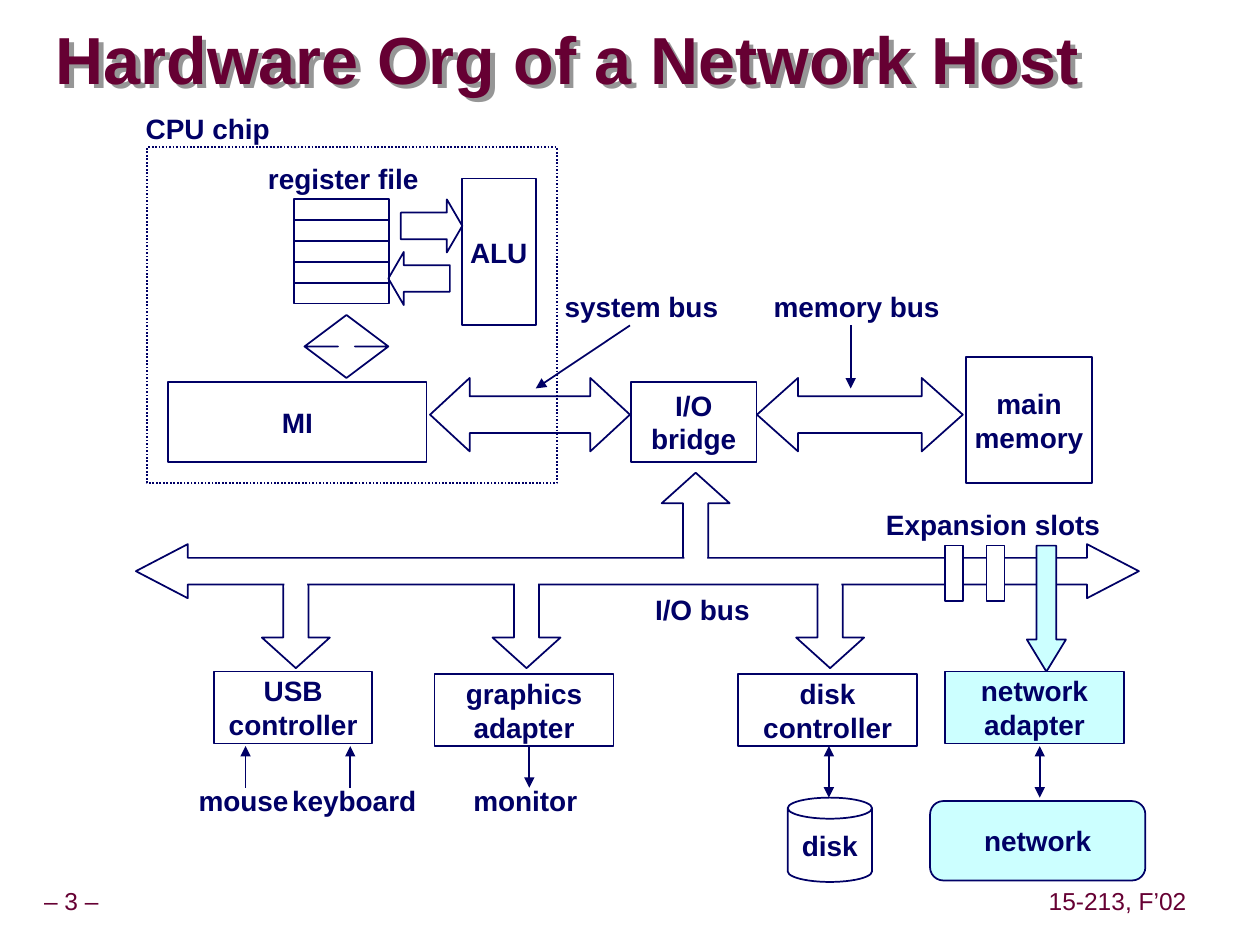
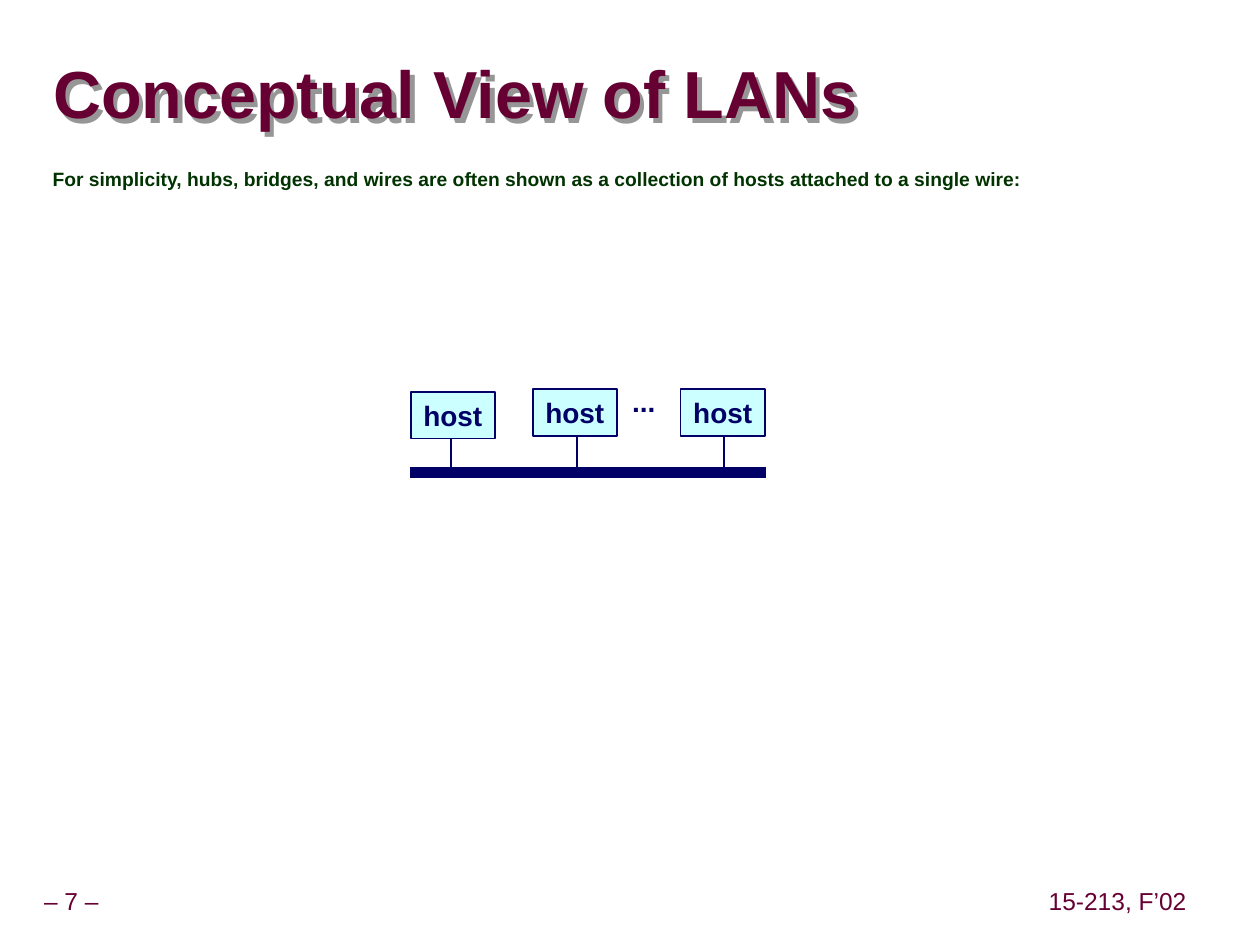
from lxml import etree
from pptx import Presentation
from pptx import util as u
from pptx.dml.color import RGBColor
from pptx.enum import dml, shapes, text
from pptx.oxml.ns import qn

NAVY = RGBColor(0x00, 0x00, 0x66)
MAROON = RGBColor(0x66, 0x00, 0x33)
GREEN = RGBColor(0x00, 0x33, 0x00)
AQUA = RGBColor(0xCC, 0xFF, 0xFF)
WHITE = RGBColor(0xFF, 0xFF, 0xFF)
SHADOW_HEX = "969696"
FONT = "Arial"
COURSE = "15-213, F’02"
KIND = shapes.MSO_SHAPE

# All places are in centimetres: left, top, width, height.
HOST_TITLE = ("Hardware Org of a Network Host", (1.12, 0.2, 24.2, 2.16))
LAN_TITLE = ("Conceptual View of LANs", (1.07, 1.17, 19.5, 1.6))
LAN_NOTE = ("For simplicity, hubs, bridges, and wires are often shown as "
            "a collection of hosts attached to a single wire:")

# Text, place, fill
BOXES = [
    ("main\nmemory", (19.48, 7.2, 2.53, 2.54), None),
    ("I/O\nbridge", (12.72, 7.7, 2.53, 1.61), None),
    ("MI", (3.39, 7.7, 5.21, 1.61), None),
    ("ALU", (9.31, 3.6, 1.49, 2.96), None),
    ("USB\ncontroller", (4.32, 13.54, 3.18, 1.45), None),
    ("graphics\nadapter", (8.76, 13.59, 3.61, 1.45), None),
    ("disk\ncontroller", (14.88, 13.59, 3.61, 1.45), None),
    ("network\nadapter", (19.05, 13.54, 3.61, 1.45), AQUA),
]
# Kind, place, adjustments
BLOCK_ARROWS = [
    (KIND.LEFT_RIGHT_ARROW, (15.26, 7.62, 4.15, 1.48), (0.5, 0.56)),
    (KIND.LEFT_RIGHT_ARROW, (8.67, 7.62, 4.03, 1.48), (0.5, 0.54)),
    (KIND.RIGHT_ARROW, (8.08, 4.02, 1.24, 1.07), (0.5, 0.29)),
    (KIND.LEFT_ARROW, (7.83, 5.08, 1.24, 1.07), (0.5, 0.29)),
    (KIND.UP_DOWN_ARROW, (6.14, 6.35, 1.69, 1.27), (0.5, 0.2)),
]
# Text, centre x, centre y
LABELS = [
    ("CPU chip", 4.19, 2.58),
    ("register file", 6.92, 3.6),
    ("system bus", 12.93, 6.18),
    ("memory bus", 17.27, 6.18),
    ("Expansion slots", 20.02, 10.58),
    ("I/O bus", 14.16, 12.28),
    ("mouse", 4.91, 16.14),
    ("keyboard", 7.14, 16.14),
    ("monitor", 10.59, 16.14),
]
# Start, end, ends that carry an arrowhead
POINTERS = [
    ((12.7, 6.56), (10.8, 7.83), ("tail",)),
    ((17.15, 6.56), (17.15, 7.83), ("tail",)),
    ((4.95, 15.04), (4.95, 15.88), ("head",)),
    ((7.06, 15.04), (7.06, 15.88), ("head",)),
    ((10.67, 15.04), (10.67, 15.88), ("tail",)),
    ((16.71, 15.04), (16.71, 16.08), ("head", "tail")),
    ((20.96, 15.04), (20.96, 16.08), ("head", "tail")),
]
CHIP = (2.97, 2.97, 8.26, 6.77)
REGISTER, REGISTER_COUNT = (5.93, 4.02, 1.91, 0.42), 5
IO_BUS = (2.74, 10.97, 20.22, 1.09)
BRANCH_SIZE, BRANCH_ADJUST = (1.37, 1.91), (0.37, 0.45)
# Kind, left, top, top of the opening in the bus edge
BRANCHES = [
    (KIND.UP_ARROW, 13.34, 9.53, 11.23),
    (KIND.DOWN_ARROW, 5.28, 11.56, 11.42),
    (KIND.DOWN_ARROW, 9.93, 11.56, 11.42),
    (KIND.DOWN_ARROW, 16.05, 11.56, 11.42),
]
OPENING_SIZE = (0.46, 0.43)
SLOT_LEFTS = (19.05, 19.89)
# Left, top, x of the stub down to the wire
HOSTS = [(8.28, 7.9, 9.09), (10.74, 7.85, 11.63), (13.72, 7.85, 14.6)]
HOST_SIZE = (1.7, 0.94)
WIRE_LEFT, WIRE_RIGHT, WIRE_Y, STUB_TOP = 8.26, 15.44, 9.53, 8.69


def cm(values):
    return [u.Cm(value) for value in values]


def write(frame, words, size=16, color=NAVY, bold=True, align=text.PP_ALIGN.CENTER):
    frame.text = words
    frame.vertical_anchor = text.MSO_ANCHOR.MIDDLE
    for para in frame.paragraphs:
        para.alignment = align
        para.font.name = FONT
        para.font.size = u.Pt(size)
        para.font.bold = bold
        para.font.color.rgb = color


def add_block(page, kind, place, words="", fill=None, adjust=(), outline=NAVY):
    block = page.shapes.add_shape(kind, *cm(place))
    block.shadow.inherit = False
    for index, value in enumerate(adjust):
        block.adjustments[index] = value
    if fill is None:
        block.fill.background()
    else:
        block.fill.solid()
        block.fill.fore_color.rgb = fill
    if outline is None:
        block.line.fill.background()
    else:
        block.line.color.rgb = outline
        block.line.width = u.Pt(1)
    if words:
        write(block.text_frame, words)
        block.text_frame.word_wrap = False
    return block


def add_label(page, words, x, y, **style):
    """Centre one line of text on the point x, y."""
    width, height = 5, 0.94
    box = page.shapes.add_textbox(*cm((x - width / 2, y - height / 2, width, height)))
    write(box.text_frame, words, **style)
    box.text_frame.word_wrap = False


def add_line(page, start, end, ends=(), width=1):
    line = page.shapes.add_connector(shapes.MSO_CONNECTOR.STRAIGHT, *cm(start + end))
    line.line.color.rgb = NAVY
    line.line.width = u.Pt(width)
    outline = line.line._get_or_add_ln()
    for end_name in ends:
        etree.SubElement(outline, qn(f"a:{end_name}End"), type="triangle")
    etree.SubElement(line._element.spPr, qn("a:effectLst"))


def add_title_shadow(title):
    effects = etree.SubElement(title._element.spPr, qn("a:effectLst"))
    shadow = etree.SubElement(effects, qn("a:outerShdw"), dist=str(u.Cm(0.13)),
                              dir="2700000", algn="ctr", rotWithShape="0")
    etree.SubElement(shadow, qn("a:srgbClr"), val=SHADOW_HEX)


def add_page(deck, heading, number):
    """Add a slide with its shadowed title and the two footers."""
    page = deck.slides.add_slide(deck.slide_layouts[5])
    words, place = heading
    title = page.shapes.title
    title.left, title.top, title.width, title.height = cm(place)
    frame = title.text_frame
    write(frame, words, size=38, color=MAROON, align=text.PP_ALIGN.LEFT)
    frame.margin_left = frame.margin_right = frame.margin_top = frame.margin_bottom = 0
    frame.auto_size = text.MSO_AUTO_SIZE.NONE
    frame.paragraphs[0].line_spacing = 0.87
    add_title_shadow(title)
    for footer, x in ((f"– {number} –", 1.44), (COURSE, 22.53)):
        add_label(page, footer, x, 18.15, size=14, color=MAROON, bold=False)
    return page


def add_io_bus(page):
    """Draw the bus over its branches, then open its edge at each branch."""
    width, height = OPENING_SIZE
    for kind, left, top, _ in BRANCHES:
        add_block(page, kind, (left, top, *BRANCH_SIZE), adjust=BRANCH_ADJUST)
    add_block(page, KIND.LEFT_RIGHT_ARROW, IO_BUS, fill=WHITE, adjust=(0.49, 0.96))
    for _, left, _, opening_top in BRANCHES:
        opening_left = left + (BRANCH_SIZE[0] - width) / 2
        add_block(page, KIND.RECTANGLE, (opening_left, opening_top, width, height),
                  fill=WHITE, outline=None)
    for left in SLOT_LEFTS:
        add_block(page, KIND.RECTANGLE, (left, 11, 0.36, 1.12), fill=WHITE)
    add_block(page, KIND.DOWN_ARROW, (20.7, 11, 0.79, 2.54), fill=AQUA, adjust=(0.5, 0.82))


def build_hardware_page(deck):
    page = add_page(deck, HOST_TITLE, 3)
    chip = add_block(page, KIND.RECTANGLE, CHIP)
    chip.line.dash_style = dml.MSO_LINE.ROUND_DOT
    left, top, width, height = REGISTER
    for row in range(REGISTER_COUNT):
        add_block(page, KIND.RECTANGLE, (left, top + row * height, width, height))
    for kind, place, adjust in BLOCK_ARROWS:
        add_block(page, kind, place, adjust=adjust)
    add_io_bus(page)
    for words, place, fill in BOXES:
        add_block(page, KIND.RECTANGLE, place, words, fill)
    add_block(page, KIND.CAN, (15.88, 16.08, 1.7, 1.7), "disk", adjust=(0.25,))
    add_block(page, KIND.ROUNDED_RECTANGLE, (18.75, 16.15, 4.34, 1.6), "network", AQUA)
    for start, end, ends in POINTERS:
        add_line(page, start, end, ends)
    for label in LABELS:
        add_label(page, *label)


def build_lan_page(deck):
    page = add_page(deck, LAN_TITLE, 7)
    note = page.shapes.add_textbox(*cm((0.81, 3.4, 23.09, 0.84))).text_frame
    write(note, LAN_NOTE, size=11, color=GREEN, align=text.PP_ALIGN.LEFT)
    note.word_wrap = True
    note.vertical_anchor = text.MSO_ANCHOR.TOP
    note.paragraphs[0].line_spacing = 0.65
    add_line(page, (WIRE_LEFT, WIRE_Y), (WIRE_RIGHT, WIRE_Y), width=6)
    for left, top, stub_x in HOSTS:
        add_line(page, (stub_x, STUB_TOP), (stub_x, WIRE_Y))
        add_block(page, KIND.RECTANGLE, (left, top, *HOST_SIZE), "host", AQUA)
    add_label(page, "...", 12.98, 8.09)


def main():
    deck = Presentation()
    deck.slide_width, deck.slide_height = u.Cm(25.4), u.Cm(19.05)
    build_hardware_page(deck)
    build_lan_page(deck)
    deck.save("out.pptx")


if __name__ == "__main__":
    main()
